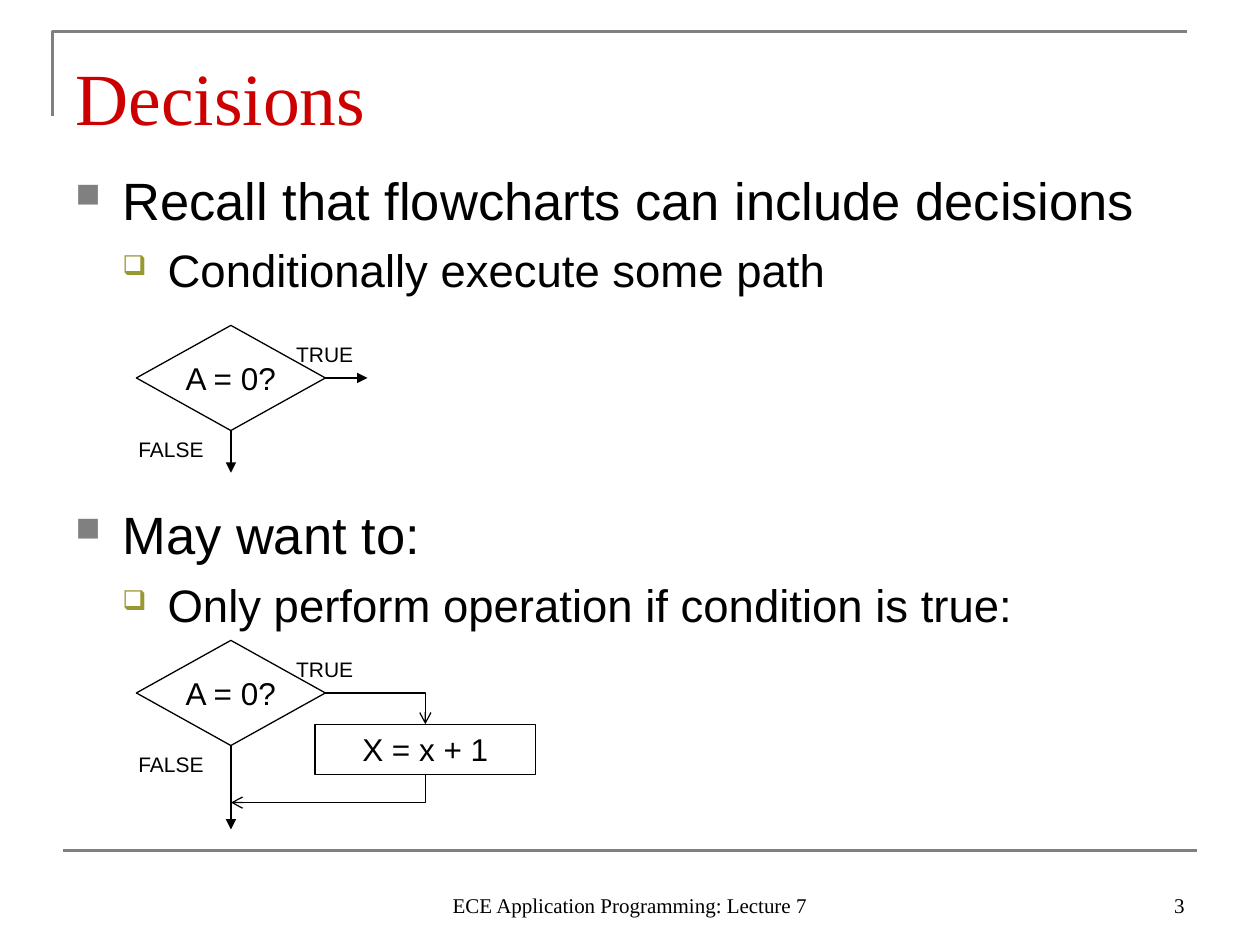
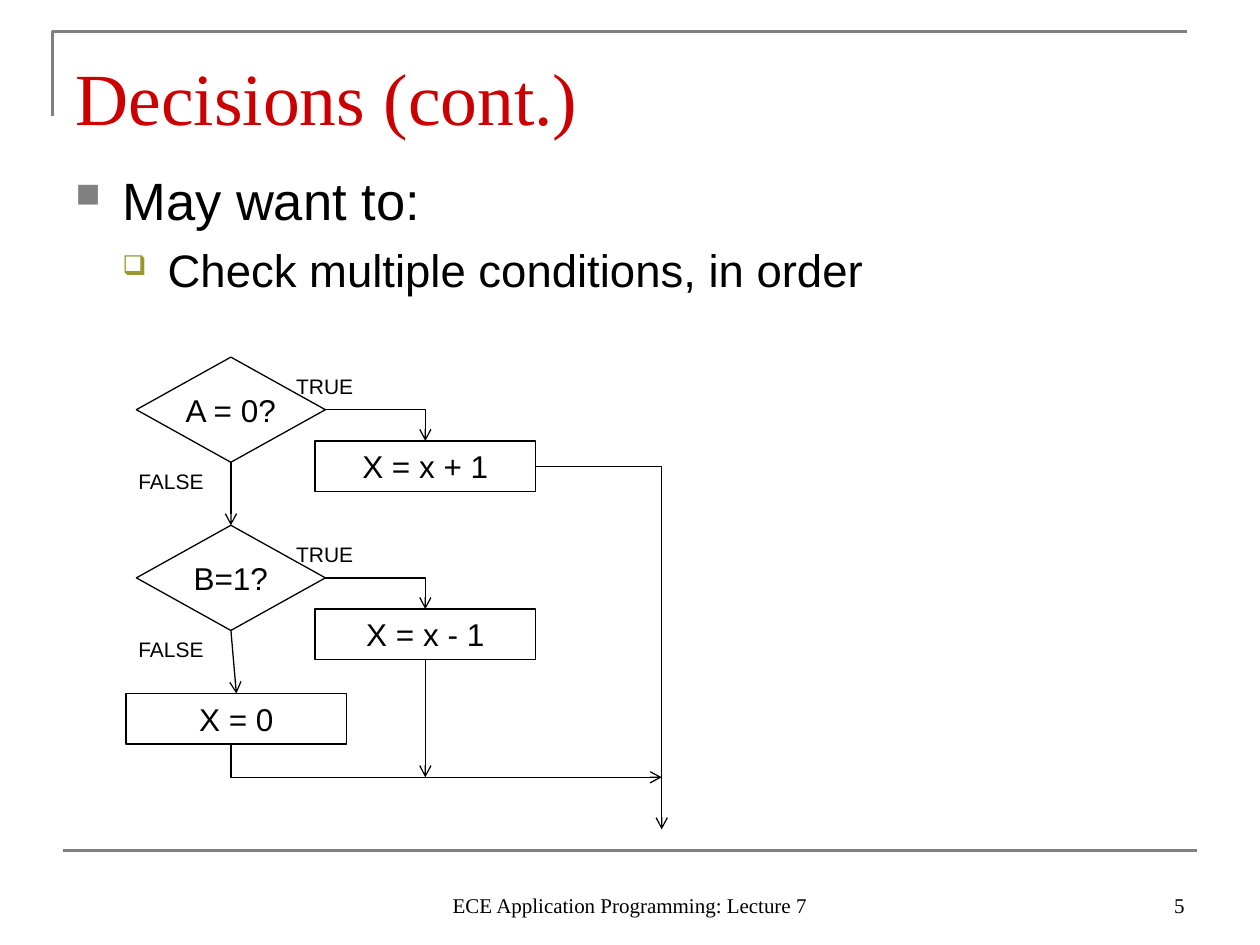
from lxml.etree import SubElement
from pptx import Presentation
from pptx.dml.color import RGBColor
from pptx.enum.shapes import MSO_CONNECTOR as Connector, MSO_SHAPE as Shape
from pptx.enum.text import MSO_ANCHOR as Anchor, PP_ALIGN as Align
from pptx.oxml.ns import qn
from pptx.util import Cm, Pt

COLORS = {"ink": "000000", "title": "CC0000", "rule": "808080", "olive": "999933"}
SANS, SERIF = "Arial", "Times New Roman"
BULLETS = [
    {"char": "■", "color": "rule", "scale": 65, "size": 30, "before": 7.5, "left": 0.95, "hang": 0.95},
    {"char": "❑", "color": "olive", "scale": 60, "size": 26, "before": 6.5, "left": 1.86, "hang": 0.91},
]
FLOW_LEFT = 2.54
DIAMOND_LEFT, DIAMOND_WIDTH, DIAMOND_HEIGHT = 0.21, 3.81, 2.12
PROCESS_LEFT, PROCESS_DROP = 3.81, 1.69
PROCESS_WIDTH, PROCESS_HEIGHT = 4.45, 1.02


def color(name):
    return RGBColor.from_string(COLORS[name])


def add_run(paragraph, text, size, font=SANS, ink="ink"):
    run = paragraph.add_run()
    run.text = text
    run.font.size = Pt(size)
    run.font.name = font
    run.font.color.rgb = color(ink)


def set_line(shape, ink="ink", width=0.75):
    shape.line.color.rgb = color(ink)
    shape.line.width = Pt(width)


def add_text(slide, box, text, size, font=SANS, align=Align.LEFT, anchor=Anchor.TOP):
    frame = slide.shapes.add_textbox(*map(Cm, box)).text_frame
    frame.word_wrap = True
    frame.vertical_anchor = anchor
    paragraph = frame.paragraphs[0]
    paragraph.alignment = align
    add_run(paragraph, text, size, font)


def add_node(slide, kind, box, text, anchor, wrap):
    node = slide.shapes.add_shape(kind, *map(Cm, box))
    node.shadow.inherit = False
    node.fill.background()
    set_line(node)
    frame = node.text_frame
    frame.word_wrap = wrap
    frame.vertical_anchor = anchor
    if not wrap:
        frame.margin_left = frame.margin_right = Cm(0.25)
    paragraph = frame.paragraphs[0]
    paragraph.alignment = Align.CENTER
    add_run(paragraph, text, 18)


def add_line(slide, start, end, head=None, ink="ink", width=0.75):
    line = slide.shapes.add_connector(Connector.STRAIGHT, *map(Cm, start + end))
    set_line(line, ink, width)
    if head:
        SubElement(line.line._get_or_add_ln(), qn("a:tailEnd"), type=head)
    SubElement(line._element.spPr, qn("a:effectLst"))
    return line


def add_elbow(slide, start, end, down_first=False):
    if down_first:
        middle_x, middle_y = (start[0] + end[0]) / 2, (start[1] + end[1]) / 2
        half_x, half_y = (end[0] - start[0]) / 2, (end[1] - start[1]) / 2
        start = (middle_x - half_y, middle_y + -half_x * -1)
        end = (middle_x + half_y, middle_y - half_x)
        if half_x > 0:
            start, end = (start[0], middle_y + half_x), (end[0], middle_y - half_x)
    elbow = add_line(slide, start, end, "arrow")
    properties = elbow._element.spPr
    properties.find(qn("a:prstGeom")).set("prst", "bentConnector2")
    if down_first:
        properties.find(qn("a:xfrm")).set("rot", "5400000")


def add_decision(slide, left, top, text):
    diamond = (left + DIAMOND_LEFT, top, DIAMOND_WIDTH, DIAMOND_HEIGHT)
    add_node(slide, Shape.FLOWCHART_DECISION, diamond, text, Anchor.MIDDLE, False)
    add_text(slide, (left + 3.18, top + 0.21, 1.69, 0.76), "TRUE", 12)
    add_text(slide, (left, top + DIAMOND_HEIGHT, 1.91, 0.76), "FALSE", 12)
    right = (left + DIAMOND_LEFT + DIAMOND_WIDTH, top + DIAMOND_HEIGHT / 2)
    bottom = (left + DIAMOND_LEFT + DIAMOND_WIDTH / 2, top + DIAMOND_HEIGHT)
    return right, bottom


def add_process(slide, left, top, text):
    box = (left, top, PROCESS_WIDTH, PROCESS_HEIGHT)
    add_node(slide, Shape.RECTANGLE, box, text, Anchor.TOP, True)
    return left + PROCESS_WIDTH / 2, top + PROCESS_HEIGHT


def add_branch(slide, left, top, condition, action):
    right, bottom = add_decision(slide, left, top, condition)
    process_top = top + PROCESS_DROP
    center, process_bottom = add_process(slide, left + PROCESS_LEFT, process_top, action)
    add_elbow(slide, right, (center, process_top))
    return bottom, (center, process_bottom)


def add_bare_decision(slide, left, top):
    right, bottom = add_decision(slide, left, top, "A = 0?")
    add_line(slide, right, (right[0] + 0.85, right[1]), "triangle")
    add_line(slide, bottom, (bottom[0], bottom[1] + 0.85), "triangle")


def add_single_branch(slide, left, top):
    bottom, process = add_branch(slide, left, top, "A = 0?", "X = x + 1")
    add_line(slide, bottom, (bottom[0], top + 3.81), "triangle")
    add_elbow(slide, process, (bottom[0], top + 3.27), True)


def add_branch_chain(slide, left, top):
    step = 3.39
    exit_x, join_y, exit_y = left + 10.8, top + 8.47, top + 9.52
    first, increment = add_branch(slide, left, top, "A = 0?", "X = x + 1")
    second, decrement = add_branch(slide, left, top + step, "B=1?", "X = x - 1")
    add_line(slide, first, (first[0], top + step), "arrow")
    default_top = top + 2 * step
    center, default_bottom = add_process(slide, left, default_top, "X = 0")
    add_line(slide, second, (center, default_top), "arrow")
    increment_right = (increment[0] + PROCESS_WIDTH / 2, increment[1] - PROCESS_HEIGHT / 2)
    add_elbow(slide, increment_right, (exit_x, exit_y))
    add_line(slide, decrement, (decrement[0], join_y), "arrow")
    add_elbow(slide, (second[0], default_bottom), (exit_x, join_y), True)


def add_frame(slide, title, number):
    outline = slide.shapes.build_freeform(Cm(1.06), Cm(2.33), scale=1.0)
    outline.add_line_segments([(Cm(1.06), Cm(0.64)), (Cm(23.92), Cm(0.64))], close=False)
    corner = outline.convert_to_shape()
    corner.shadow.inherit = False
    corner.fill.background()
    set_line(corner, "rule", 1.5)
    add_line(slide, (1.27, 17.14), (24.13, 17.14), None, "rule", 1.5)

    heading = slide.shapes.title
    heading.left, heading.top, heading.width, heading.height = map(Cm, (1.27, 0.76, 22.86, 1.98))
    frame = heading.text_frame
    frame.vertical_anchor = Anchor.TOP
    frame.margin_top = Cm(0.28)
    paragraph = frame.paragraphs[0]
    paragraph.alignment = Align.LEFT
    add_run(paragraph, title, 42, SERIF, "title")

    footer = "ECE Application Programming: Lecture 7"
    add_text(slide, (8.68, 17.36, 8.04, 1.27), footer, 12, SERIF, Align.CENTER, Anchor.BOTTOM)
    add_text(slide, (18.2, 17.36, 5.93, 1.27), str(number), 12, SERIF, Align.RIGHT, Anchor.BOTTOM)


def add_bullets(slide, items):
    frame = slide.shapes.add_textbox(Cm(1.27), Cm(3.18), Cm(22.86), Cm(13.84)).text_frame
    frame.word_wrap = True
    frame.margin_top = Cm(0.2)
    for index, (level, text, gap) in enumerate(items):
        style = BULLETS[level]
        paragraph = frame.add_paragraph() if index else frame.paragraphs[0]
        paragraph.level = level
        properties = paragraph._p.get_or_add_pPr()
        properties.set("marL", str(Cm(style["left"])))
        properties.set("indent", str(-Cm(style["hang"])))
        bullet_color = SubElement(properties, qn("a:buClr"))
        SubElement(bullet_color, qn("a:srgbClr"), val=COLORS[style["color"]])
        SubElement(properties, qn("a:buSzPct"), val=str(style["scale"] * 1000))
        SubElement(properties, qn("a:buChar"), char=style["char"])
        if index:
            paragraph.space_before = Pt(style["before"] + gap)
        add_run(paragraph, text, style["size"])


def add_decision_slide(presentation, title, number, items, charts):
    slide = presentation.slides.add_slide(presentation.slide_layouts[5])
    add_frame(slide, title, number)
    add_bullets(slide, items)
    for add_chart, top in charts:
        add_chart(slide, FLOW_LEFT, top)


def main():
    presentation = Presentation()
    presentation.slide_width, presentation.slide_height = Cm(25.4), Cm(19.05)
    add_decision_slide(
        presentation, "Decisions", 3,
        [(0, "Recall that flowcharts can include decisions", 0),
         (1, "Conditionally execute some path", 0),
         (0, "May want to:", 110),
         (1, "Only perform operation if condition is true:", 0)],
        [(add_bare_decision, 6.56), (add_single_branch, 12.91)])
    add_decision_slide(
        presentation, "Decisions (cont.)", 5,
        [(0, "May want to:", 0),
         (1, "Check multiple conditions, in order", 0)],
        [(add_branch_chain, 7.2)])
    presentation.save("out.pptx")


if __name__ == "__main__":
    main()
